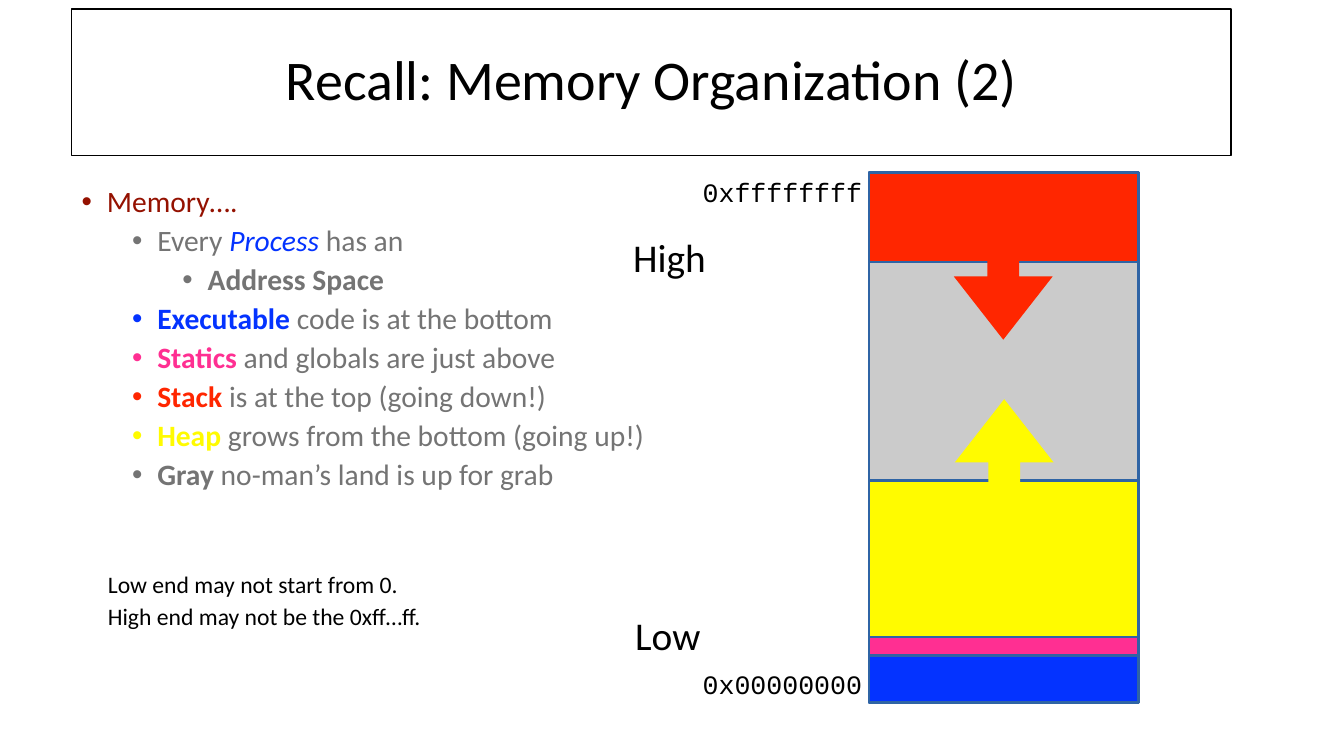
from lxml.etree import SubElement
from pptx import Presentation
from pptx.dml.color import RGBColor
from pptx.enum.shapes import MSO_SHAPE
from pptx.enum.text import MSO_ANCHOR, MSO_AUTO_SIZE, PP_ALIGN
from pptx.oxml.ns import qn
from pptx.util import Inches, Pt

COLORS = {
    "black": "000000", "white": "FFFFFF", "maroon": "941100", "text": "747474",
    "code": "0433FF", "statics": "FF2F92", "stack": "FF2600", "heap": "FFFB00",
    "free": "CBCBCB", "border": "2F64A5",
}

POINTS = [
    (0, [("Memory….", "maroon", "")]),
    (1, [("Every ", "text", ""), ("Process", "code", "i"), (" has an", "text", "")]),
    (2, [("Address Space", "text", "b")]),
    (1, [("Executable", "code", "b"), (" code is at the bottom", "text", "")]),
    (1, [("Statics ", "statics", "b"), ("and globals are just above", "text", "")]),
    (1, [("Stack", "stack", "b"), (" is at the top (going down!)", "text", "")]),
    (1, [("Heap", "heap", "b"), (" grows from the bottom (going up!)", "text", "")]),
    (1, [("Gray", "text", "b"), (" no-man’s land is up for grab", "text", "")]),
]
NOTES = [("Low end may not start from 0.", 58), ("High end may not be the 0xff…ff.", 5)]

MEMORY_LEFT, MEMORY_WIDTH = 8.62, 2.67
SEGMENTS = [
    ("free", 1.71, 5.26), ("code", 6.5, 0.47), ("statics", 6.31, 0.19),
    ("stack", 1.71, 0.89), ("heap", 4.77, 1.55),
]
ARROWS = [("stack", 9.46, 2.39, 90), ("heap", 9.47, 3.96, 270)]
LABELS = [
    ("0xffffffff", 6.93, 1.7, 1.67, 0.4, "Courier New", 19),
    ("0x00000000", 6.93, 6.58, 1.67, 0.4, "Courier New", 19),
    ("High", 6.24, 2.27, 0.81, 0.55, "Calibri", 28.1),
    ("Low", 6.26, 6.02, 0.73, 0.55, "Calibri", 28.1),
]


def rgb(color):
    return RGBColor.from_string(COLORS[color])


def place(part, left, top, width, height):
    part.left, part.top = Inches(left), Inches(top)
    part.width, part.height = Inches(width), Inches(height)


def style(run, size, color="black", face="Calibri", emphasis=""):
    run.font.name = face
    run.font.size = Pt(size)
    run.font.color.rgb = rgb(color)
    run.font.bold = emphasis == "b"
    run.font.italic = emphasis == "i"


def set_paragraph(paragraph, level, margin, indent, before, bullet):
    properties = paragraph._p.get_or_add_pPr()
    properties.set("marL", str(Inches(margin)))
    properties.set("indent", str(Inches(indent)))
    if bullet:
        SubElement(properties, qn("a:buFont"), typeface="Arial")
        SubElement(properties, qn("a:buChar"), char="•")
    else:
        SubElement(properties, qn("a:buNone"))
    paragraph.level = level
    paragraph.line_spacing = 0.9
    paragraph.space_before = Pt(before)


def fill_title(title):
    place(title, 0.71, 0.09, 11.5, 1.45)
    title.fill.solid()
    title.fill.fore_color.rgb = rgb("white")
    title.line.color.rgb = rgb("black")
    title.line.width = Pt(1)
    frame = title.text_frame
    frame.text = "Recall: Memory Organization (2)"
    frame.auto_size = MSO_AUTO_SIZE.NONE
    frame.vertical_anchor = MSO_ANCHOR.MIDDLE
    heading = frame.paragraphs[0]
    heading.alignment = PP_ALIGN.CENTER
    heading.line_spacing = 0.9
    style(heading.runs[0], 40)


def fill_body(body):
    place(body, 0.71, 1.81, 5.86, 5.05)
    frame = body.text_frame
    frame.auto_size = MSO_AUTO_SIZE.NONE
    for index, (level, pieces) in enumerate(POINTS):
        point = frame.add_paragraph() if index else frame.paragraphs[0]
        set_paragraph(point, level, 0.25 + 0.5 * level, -0.25, 5 if index else 0, True)
        for words, color, emphasis in pieces:
            run = point.add_run()
            run.text = words
            style(run, 21.1, color, emphasis=emphasis)
    for words, before in NOTES:
        note = frame.add_paragraph()
        note.text = words
        set_paragraph(note, 1, 0.26, 0, before, False)
        style(note.runs[0], 16.9)


def add_block(slide, preset, color, left, top, width, height):
    block = slide.shapes.add_shape(
        preset, Inches(left), Inches(top), Inches(width), Inches(height))
    block.shadow.inherit = False
    block.fill.solid()
    block.fill.fore_color.rgb = rgb(color)
    return block


def add_segment(slide, color, top, height):
    segment = add_block(
        slide, MSO_SHAPE.RECTANGLE, color, MEMORY_LEFT, top, MEMORY_WIDTH, height)
    segment.line.color.rgb = rgb("border")
    segment.line.width = Pt(2)


def add_growth_arrow(slide, color, left, top, rotation):
    arrow = add_block(slide, MSO_SHAPE.RIGHT_ARROW, color, left, top, 0.98, 0.98)
    arrow.line.fill.background()
    arrow.adjustments[0] = 0.32
    arrow.adjustments[1] = 0.64
    arrow.rotation = rotation


def add_label(slide, words, left, top, width, height, face, size):
    label = slide.shapes.add_textbox(
        Inches(left), Inches(top), Inches(width), Inches(height))
    frame = label.text_frame
    frame.text = words
    frame.word_wrap = False
    frame.auto_size = MSO_AUTO_SIZE.SHAPE_TO_FIT_TEXT
    frame.vertical_anchor = MSO_ANCHOR.MIDDLE
    frame.margin_left = frame.margin_right = Inches(0.04)
    frame.margin_top = frame.margin_bottom = Inches(0.04)
    style(frame.paragraphs[0].runs[0], size, face=face)


def main():
    deck = Presentation()
    deck.slide_width, deck.slide_height = Inches(13.33), Inches(7.5)
    slide = deck.slides.add_slide(deck.slide_layouts[1])
    fill_title(slide.shapes.title)
    fill_body(slide.placeholders[1])
    for segment in SEGMENTS:
        add_segment(slide, *segment)
    for arrow in ARROWS:
        add_growth_arrow(slide, *arrow)
    for label in LABELS:
        add_label(slide, *label)
    deck.save("out.pptx")


if __name__ == "__main__":
    main()
